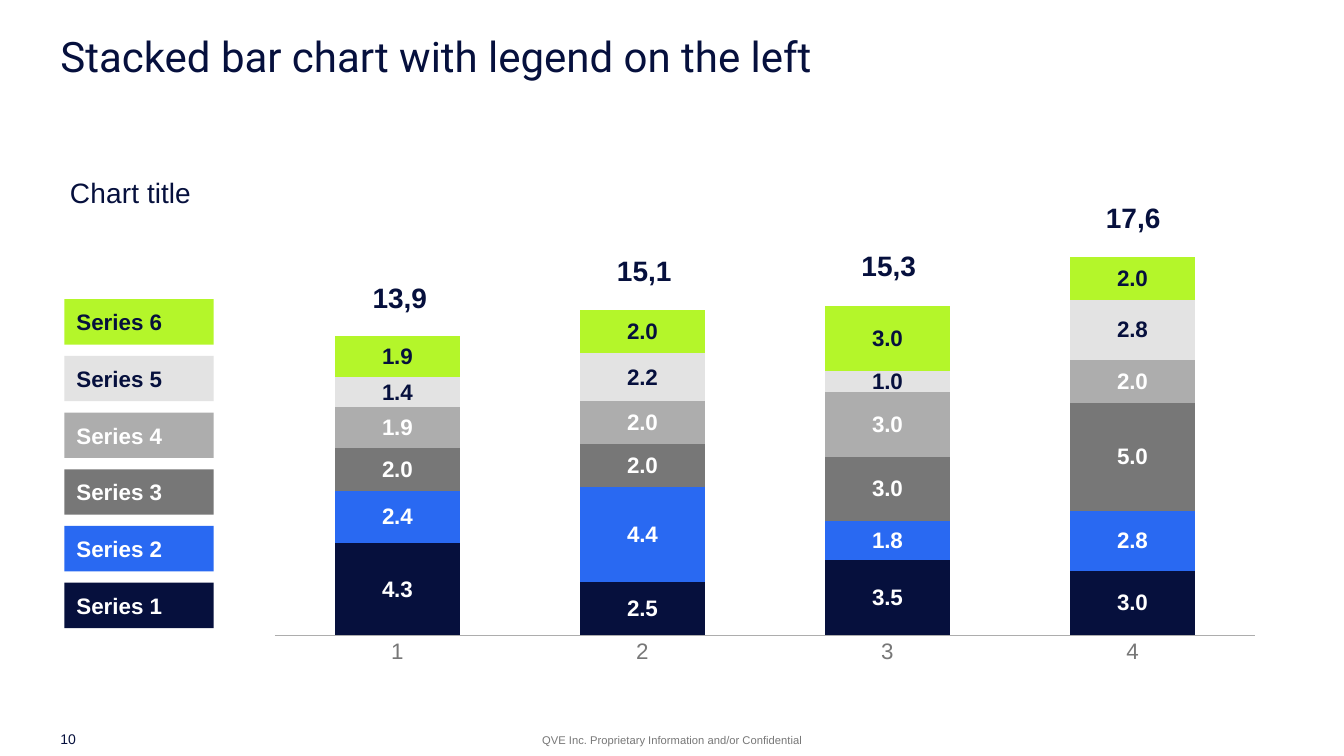
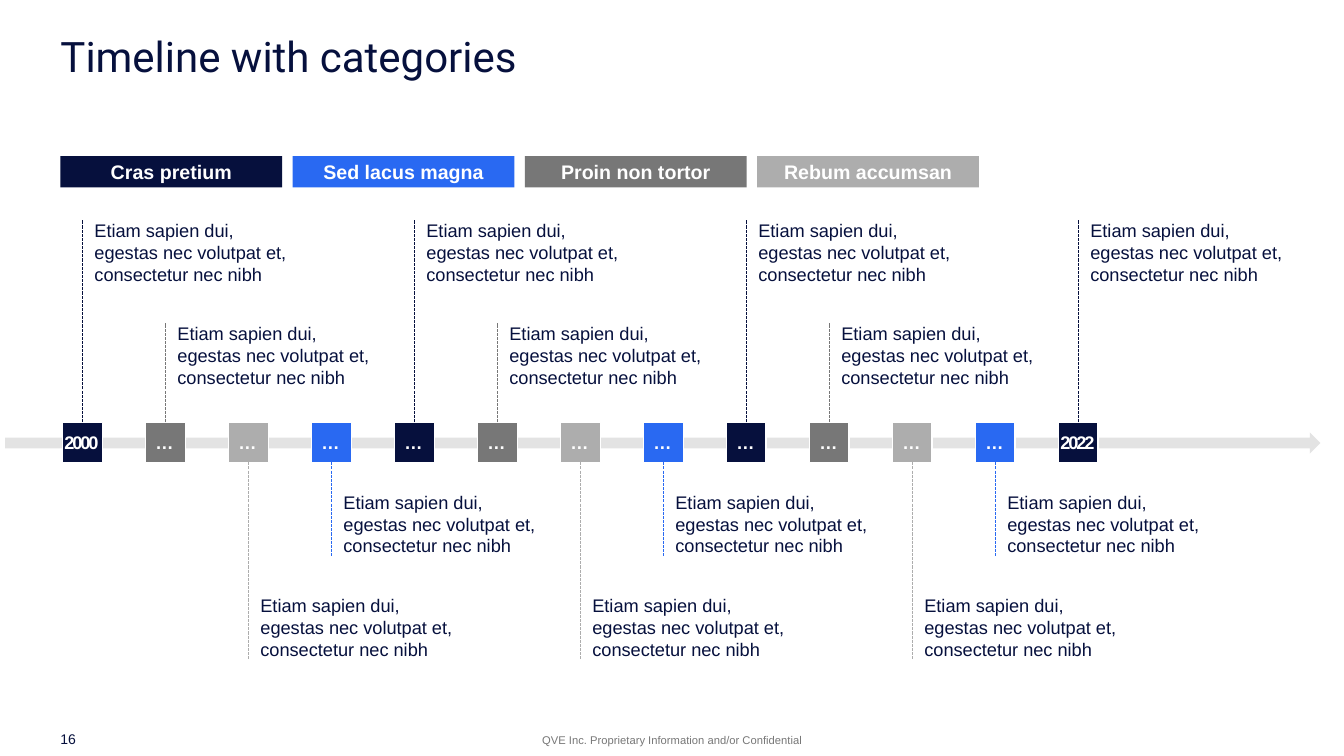
from dataclasses import dataclass

from lxml import etree
from pptx import Presentation
from pptx import util as u
from pptx.chart import data
from pptx.dml.color import RGBColor
from pptx.enum import chart as charts
from pptx.enum import dml, shapes, text
from pptx.oxml import ns

NAVY, BLUE, GRAY, SILVER = "06103D", "2969F2", "777777", "ADADAD"
PALE, LIME, WHITE = "E3E3E3", "B4F62A", "FFFFFF"
LEFT, MID = text.PP_ALIGN.LEFT, text.PP_ALIGN.CENTER
TOP, CENTER, BASE = text.MSO_ANCHOR.TOP, text.MSO_ANCHOR.MIDDLE, text.MSO_ANCHOR.BOTTOM
MARGIN = 43.2
FOOTER = "QVE Inc. Proprietary Information and/or Confidential"
NOTE = "Etiam sapien dui, egestas nec volutpat et, consectetur nec nibh"


@dataclass(frozen=True)
class Box:
    left: float
    top: float
    width: float
    height: float

    def points(self) -> tuple:
        return tuple(u.Pt(v) for v in (self.left, self.top, self.width, self.height))


@dataclass(frozen=True)
class Style:
    size: float
    color: str = NAVY
    bold: bool = False
    face: str = "Arial"
    align: text.PP_ALIGN = LEFT
    anchor: text.MSO_ANCHOR = TOP
    inset: tuple = (0, 0, 0, 0)
    track: float = 0


@dataclass(frozen=True)
class Series:
    name: str
    values: tuple
    fill: str
    ink: str = WHITE


@dataclass(frozen=True)
class Total:
    label: str
    top: float


@dataclass(frozen=True)
class Group:
    name: str
    fill: str
    end: float
    above: bool


SERIES = (
    Series("Series 1", (4.3, 2.5, 3.5, 3), NAVY),
    Series("Series 2", (2.4, 4.4, 1.8, 2.8), BLUE),
    Series("Series 3", (2, 2, 3, 5), GRAY),
    Series("Series 4", (1.9, 2, 3, 2), SILVER),
    Series("Series 5", (1.4, 2.2, 1, 2.8), PALE, NAVY),
    Series("Series 6", (1.9, 2, 3, 2), LIME, NAVY),
)
TOTALS = (Total("13,9", 196.6), Total("15,1", 177.8),
          Total("15,3", 174.2), Total("17,6", 139.7))
NAVIES = Group("Cras pretium", NAVY, 157, True)
BLUES = Group("Sed lacus magna", BLUE, 397.6, False)
GRAYS = Group("Proin non tortor", GRAY, 230.4, True)
SILVERS = Group("Rebum accumsan", SILVER, 471.6, False)
LEGEND = (NAVIES, BLUES, GRAYS, SILVERS)
CYCLE = (NAVIES, GRAYS, SILVERS, BLUES)
YEARS = ("2000", *["…"] * 11, "2022")


def paint(code: str) -> RGBColor:
    return RGBColor.from_string(code)


def set_font(font, style: Style) -> None:
    font.name, font.size, font.bold = style.face, u.Pt(style.size), style.bold
    font.color.rgb = paint(style.color)


def write(frame, words: str, style: Style):
    frame.word_wrap = True
    frame.auto_size = text.MSO_AUTO_SIZE.NONE
    frame.vertical_anchor = style.anchor
    (frame.margin_left, frame.margin_top,
     frame.margin_right, frame.margin_bottom) = map(u.Pt, style.inset)
    para = frame.paragraphs[0]
    para.alignment = style.align
    run = para.add_run()
    run.text = words
    set_font(run.font, style)
    if style.track:
        run.font._element.set("spc", str(round(style.track * 100)))
    return para


def add_text(slide, box: Box, words: str, style: Style) -> None:
    write(slide.shapes.add_textbox(*box.points()).text_frame, words, style)


def add_block(slide, box: Box, fill: str, kind=shapes.MSO_SHAPE.RECTANGLE, edge: str = ""):
    block = slide.shapes.add_shape(kind, *box.points())
    block.shadow.inherit = False
    block.fill.solid()
    block.fill.fore_color.rgb = paint(fill)
    if edge:
        block.line.color.rgb = paint(edge)
        block.line.width = u.Pt(1)
    else:
        block.line.fill.background()
    return block


def add_stem(slide, block, side: int, x: float, end: float, color: str) -> None:
    stem = slide.shapes.add_connector(
        shapes.MSO_CONNECTOR.STRAIGHT, u.Pt(x), block.top, u.Pt(x), u.Pt(end))
    stem.begin_connect(block, side)
    stem.line.color.rgb = paint(color)
    stem.line.width = u.Pt(0.75)
    stem.line.dash_style = dml.MSO_LINE.SQUARE_DOT
    etree.SubElement(stem._element.spPr, ns.qn("a:effectLst"))


def add_page(deck, title: str, number: str):
    slide = deck.slides.add_slide(deck.slide_layouts[5])
    head = slide.shapes.title
    head.left, head.top, head.width, head.height = Box(MARGIN, 25.9, 873.4, 67.7).points()
    write(head.text_frame, title, Style(30, face="Roboto")).line_spacing = 0.89
    add_text(slide, Box(328.3, 522.7, 303.8, 11.5), FOOTER,
             Style(8, GRAY, align=MID, anchor=CENTER))
    add_text(slide, Box(MARGIN, 522, 39.6, 11.5), number, Style(10, anchor=CENTER))
    return slide


def set_layout(parent, index: int, **parts) -> None:
    for old in parent.findall(ns.qn("c:layout")):
        parent.remove(old)
    layout = etree.Element(ns.qn("c:layout"))
    manual = etree.SubElement(layout, ns.qn("c:manualLayout"))
    for tag, value in parts.items():
        etree.SubElement(manual, ns.qn(f"c:{tag}")).set("val", str(value))
    parent.insert(index, layout)


def add_stack(slide) -> None:
    table = data.CategoryChartData(number_format="#,##0.0")
    table.categories = ["1", "2", "3", "4"]
    for item in SERIES:
        table.add_series(item.name, item.values)
    chart = slide.shapes.add_chart(
        charts.XL_CHART_TYPE.COLUMN_STACKED,
        *Box(44.6, 112.3, 871.9, 383.8).points(), table).chart
    chart.font.name, chart.font.size = "Arial", u.Pt(18)
    chart.has_legend = False
    chart.has_title = True
    write_title(chart)
    set_layout(chart.element.xpath("c:chart/c:plotArea")[0], 0,
               layoutTarget="inner", xMode="edge", yMode="edge",
               x=0.174, y=0.089, w=0.803, h=0.801)
    plot = chart.plots[0]
    plot.gap_width, plot.overlap, plot.vary_by_categories = 95, 100, False
    scale = chart.value_axis
    scale.visible = scale.has_major_gridlines = False
    scale.minimum_scale, scale.maximum_scale = 0, 20
    axis = chart.category_axis
    axis.major_tick_mark = axis.minor_tick_mark = charts.XL_TICK_MARK.NONE
    axis.format.line.color.rgb = paint(SILVER)
    axis.format.line.width = u.Pt(0.75)
    set_font(axis.tick_labels.font, Style(16, GRAY))
    for item, part in zip(SERIES, plot.series):
        part.format.fill.solid()
        part.format.fill.fore_color.rgb = paint(item.fill)
        labels = part.data_labels
        labels.show_value = True
        labels.position = charts.XL_LABEL_POSITION.CENTER
        labels.number_format, labels.number_format_is_linked = "#,##0.0", False
        set_font(labels.font, Style(16, item.ink, True))


def write_title(chart) -> None:
    run = chart.chart_title.text_frame.paragraphs[0].add_run()
    run.text = "Chart title"
    set_font(run.font, Style(20))
    title = chart.element.xpath("c:chart/c:title")[0]
    set_layout(title, 1, xMode="edge", yMode="edge", x=0.002, y=0.024)
    for flag in title.findall(ns.qn("c:overlay")):
        flag.set("val", "1")


def draw_stack(deck) -> None:
    slide = add_page(deck, "Stacked bar chart with legend on the left", "10")
    add_stack(slide)
    for i, item in enumerate(SERIES):
        key = add_block(slide, Box(46, 416.2 - 40.5 * i, 106.6, 32.4), item.fill)
        write(key.text_frame, item.name,
              Style(16, item.ink, True, anchor=CENTER, inset=(8.6, 2.9, 8.6, 2.9)))
    for i, total in enumerate(TOTALS):
        add_text(slide, Box(255.4 + 174.6 * i, total.top, 60.5, 31.7), total.label,
                 Style(20, bold=True, align=MID, inset=(7.2, 3.6, 7.2, 3.6)))


def draw_time(deck) -> None:
    slide = add_page(deck, "Timeline with categories", "16")
    add_block(slide, Box(3.6, 308.9, 939.6, 15.1), PALE, shapes.MSO_SHAPE.RIGHT_ARROW)
    side, wide, high = 28.4, 158.4, 47.4
    for i, year in enumerate(YEARS):
        group = CYCLE[i % len(CYCLE)]
        x = 58.9 + 59.28 * i
        block = add_block(slide, Box(x - side / 2, 301.8, side, side), group.fill, edge=WHITE)
        write(block.text_frame, year,
              Style(13, WHITE, True, align=MID, anchor=CENTER, inset=(0, 0, 1.4, 0), track=-1.5))
        add_stem(slide, block, 0 if group.above else 2, x, group.end, group.fill)
        top = group.end if group.above else group.end - high
        add_text(slide, Box(x, top, wide, high), NOTE,
                 Style(13, anchor=TOP if group.above else BASE, inset=(8.6, 0, 8.6, 0)))
    for i, group in enumerate(LEGEND):
        key = add_block(slide, Box(MARGIN + 165.9 * i, 111.6, wide, 22.3), group.fill)
        write(key.text_frame, group.name,
              Style(14, WHITE, True, align=MID, anchor=CENTER, inset=(5.8, 0, 5.8, 0)))


def main() -> None:
    deck = Presentation()
    deck.slide_width, deck.slide_height = u.Pt(960), u.Pt(540)
    draw_stack(deck)
    draw_time(deck)
    deck.save("out.pptx")


if __name__ == "__main__":
    main()
